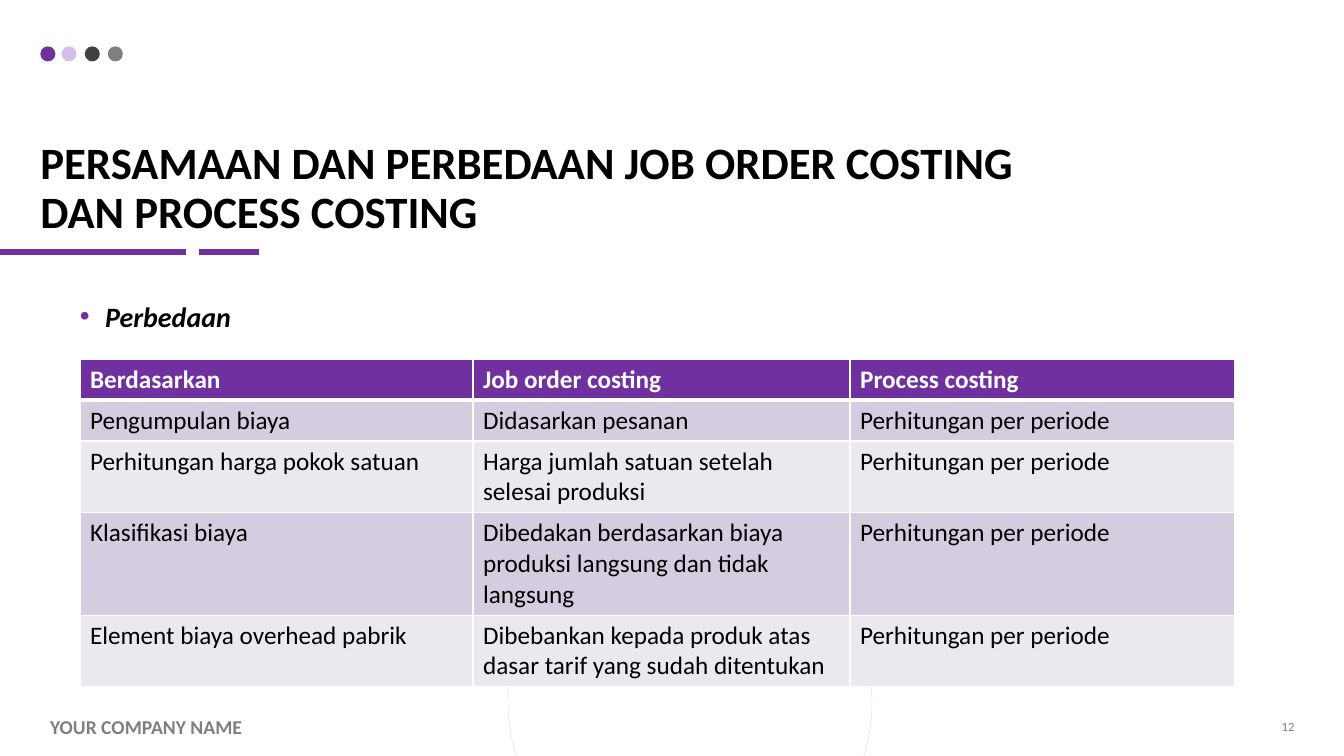
import pptx
import pptx.util
import pptx.dml.color
import pptx.enum.shapes
import pptx.enum.text
import pptx.oxml
import pptx.oxml.ns
from lxml import etree

Pt = pptx.util.Pt
qn = pptx.oxml.ns.qn
SHAPES = pptx.enum.shapes.MSO_SHAPE
ANCHOR = pptx.enum.text.MSO_ANCHOR
ALIGN = pptx.enum.text.PP_ALIGN

COLOURS = {
    "purple": "7030A0", "lilac": "C7A2E3", "charcoal": "404040", "grey": "7F7F7F",
    "ring": "D9D9D9", "black": "000000", "white": "FFFFFF",
    "band_dark": "D5CDDF", "band_light": "EBE8F0",
}
TITLE = "PERSAMAAN DAN PERBEDAAN JOB ORDER COSTING DAN PROCESS COSTING"
SUBTITLE = "Perbedaan"
COMPANY = "YOUR COMPANY NAME"
PAGE = "12"
PER_PERIOD = "Perhitungan per periode"
COMPARISON = [
    ("Berdasarkan", "Job order costing", "Process costing"),
    ("Pengumpulan biaya", "Didasarkan pesanan", PER_PERIOD),
    ("Perhitungan harga pokok satuan", "Harga jumlah satuan setelah selesai produksi", PER_PERIOD),
    ("Klasifikasi biaya", "Dibedakan berdasarkan biaya produksi langsung dan tidak langsung", PER_PERIOD),
    ("Element biaya overhead pabrik", "Dibebankan kepada produk atas dasar tarif yang sudah ditentukan", PER_PERIOD),
]
ROW_LINES = [1, 1, 2, 3, 2]
COLUMN_WIDTHS = [280.8, 269.3, 275]
DOTS = [(28.8, "purple", 100), (43.9, "lilac", 70), (60.5, "charcoal", 100), (77, "grey", 100)]
RULES = [(-2, 133.2), (141.8, 185)]
RULE_Y = 180


def rgb(name):
    """Return the named colour."""
    return pptx.dml.color.RGBColor.from_string(COLOURS[name])


def write(frame, text, size=18, colour="black", bold=False, italic=False, align=ALIGN.LEFT,
          anchor=ANCHOR.TOP, inset=None, line_spacing=None, space_before=None, bullet=None):
    """Put formatted text in a text frame."""
    frame.word_wrap = True
    frame.vertical_anchor = anchor
    if inset is not None:
        frame.margin_left = frame.margin_right = frame.margin_top = frame.margin_bottom = Pt(inset)
    paragraph = frame.paragraphs[0]
    paragraph.alignment = align
    paragraph.line_spacing = line_spacing
    if space_before is not None:
        paragraph.space_before = Pt(space_before)
    if bullet:
        properties = paragraph._p.get_or_add_pPr()
        properties.set("marL", str(Pt(18)))
        properties.set("indent", str(-Pt(18)))
        bullet_colour = etree.SubElement(properties, qn("a:buClr"))
        etree.SubElement(bullet_colour, qn("a:srgbClr"), val=COLOURS["purple"])
        etree.SubElement(properties, qn("a:buFont"), typeface="Arial")
        etree.SubElement(properties, qn("a:buChar"), char=bullet)
    run = paragraph.add_run()
    run.text = text
    run.font.name = "Calibri"
    run.font.size = Pt(size)
    run.font.bold = bold
    run.font.italic = italic
    run.font.color.rgb = rgb(colour)


def add_text(slide, left, top, width, height, text, **text_format):
    """Add a text box."""
    box = slide.shapes.add_textbox(Pt(left), Pt(top), Pt(width), Pt(height))
    write(box.text_frame, text, **text_format)


def add_circle(slide, left, top, size):
    """Add a circle without shadow."""
    circle = slide.shapes.add_shape(SHAPES.OVAL, Pt(left), Pt(top), Pt(size), Pt(size))
    circle.shadow.inherit = False
    return circle


def add_decoration(slide):
    """Draw the title rules, the dots and the ring."""
    for start, end in RULES:
        rule = slide.shapes.add_connector(
            pptx.enum.shapes.MSO_CONNECTOR.STRAIGHT, Pt(start), Pt(RULE_Y), Pt(end), Pt(RULE_Y))
        rule.line.color.rgb = rgb("purple")
        rule.line.width = Pt(4.5)
        etree.SubElement(rule._element.spPr, qn("a:effectLst"))
    for left, colour, opacity in DOTS:
        dot = add_circle(slide, left, 33.1, 10.8)
        dot.fill.solid()
        dot.fill.fore_color.rgb = rgb(colour)
        dot.line.fill.background()
        if opacity < 100:
            tint = dot._element.spPr.find(".//" + qn("a:srgbClr"))
            etree.SubElement(tint, qn("a:alpha"), val=str(opacity * 1000))
    ring = add_circle(slide, 362.9, 371.5, 260)
    ring.fill.background()
    ring.line.color.rgb = rgb("ring")
    ring.line.width = Pt(0.25)


def add_borders(cell, **widths):
    """Give a cell white borders."""
    properties = cell._tc.get_or_add_tcPr()
    for position, side in enumerate("LRTB"):
        border = etree.Element(qn("a:ln" + side), w=str(Pt(widths.get(side, 1))))
        fill = etree.SubElement(border, qn("a:solidFill"))
        etree.SubElement(fill, qn("a:srgbClr"), val=COLOURS["white"])
        properties.insert(position, border)


def add_comparison(slide):
    """Add the comparison table."""
    heights = [7.2 + 22 * lines for lines in ROW_LINES]
    table = slide.shapes.add_table(
        len(COMPARISON), len(COLUMN_WIDTHS), Pt(57.1), Pt(256.6),
        Pt(sum(COLUMN_WIDTHS)), Pt(sum(heights))).table
    for column, width in zip(table.columns, COLUMN_WIDTHS):
        column.width = Pt(width)
    for r, (labels, height) in enumerate(zip(COMPARISON, heights)):
        table.rows[r].height = Pt(height)
        header = r == 0
        band = "purple" if header else ("band_light", "band_dark")[r % 2]
        for c, label in enumerate(labels):
            cell = table.cell(r, c)
            cell.fill.solid()
            cell.fill.fore_color.rgb = rgb(band)
            add_borders(cell, T=3 if r == 1 else 1, B=3 if header else 1)
            write(cell.text_frame, label, bold=header, colour="white" if header else "black")


def main():
    """Build the slide on job order and process costing."""
    deck = pptx.Presentation()
    deck.slide_width, deck.slide_height = Pt(960), Pt(540)
    slide = deck.slides.add_slide(deck.slide_layouts[6])
    add_decoration(slide)
    add_text(slide, 28.8, 82.1, 743.8, 87.8, TITLE, size=32, bold=True,
             anchor=ANCHOR.BOTTOM, inset=0, line_spacing=0.9)
    add_text(slide, 28.8, 509, 177.8, 19.4, COMPANY, size=14, bold=True, colour="grey",
             line_spacing=0.9, space_before=10)
    add_text(slide, 715.7, 509, 216, 19.4, PAGE, size=9, colour="grey",
             align=ALIGN.RIGHT, anchor=ANCHOR.MIDDLE)
    add_text(slide, 57.1, 213.8, 840.2, 35.3, SUBTITLE, size=20, bold=True, italic=True,
             inset=0, space_before=10, bullet="•")
    add_comparison(slide)
    deck.save("out.pptx")


if __name__ == "__main__":
    main()
